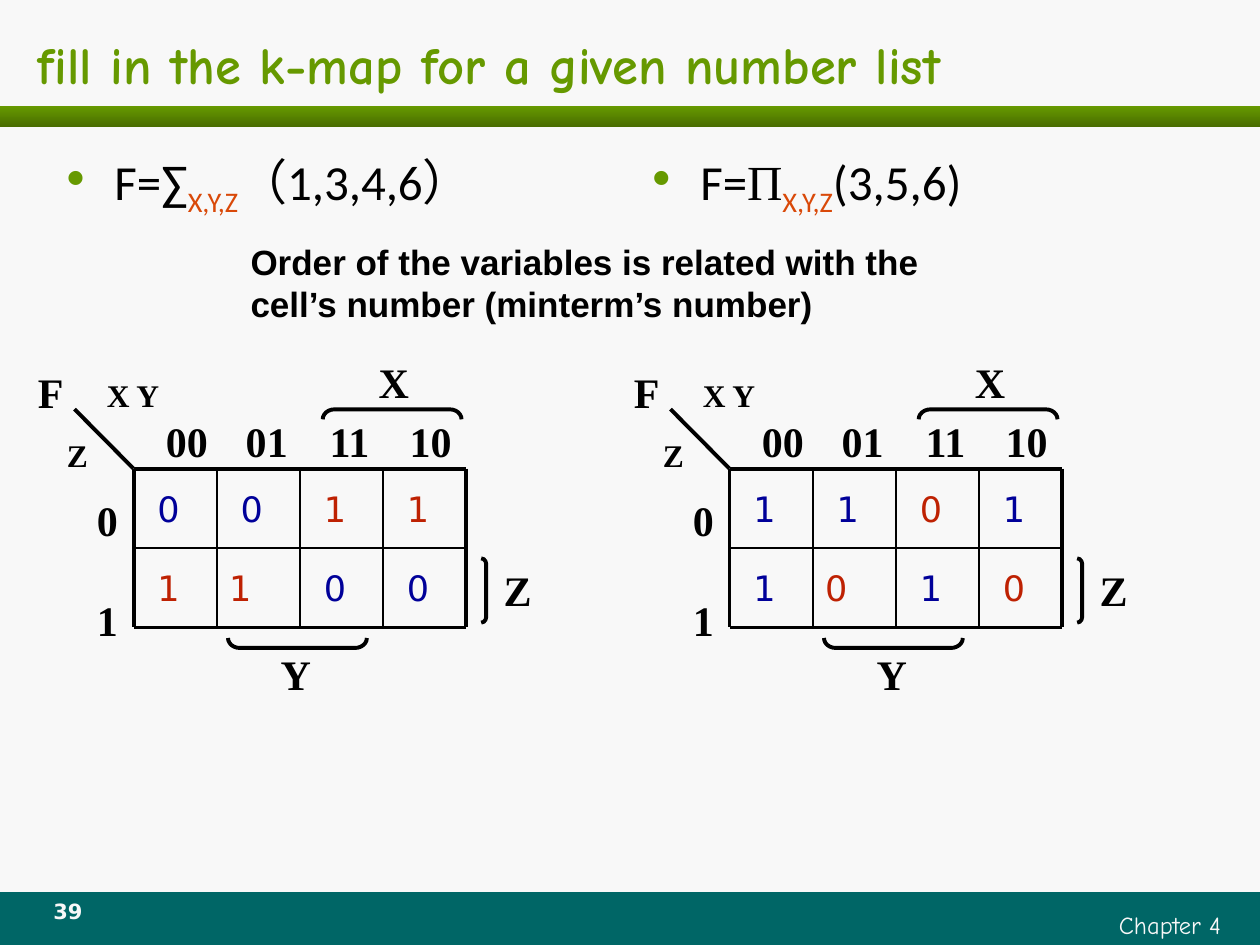
"""Build a slide that fills in two Karnaugh maps from number lists."""
from lxml.etree import SubElement
from pptx import Presentation
from pptx.dml.color import RGBColor
from pptx.enum.shapes import MSO_CONNECTOR, MSO_SHAPE
from pptx.enum.text import MSO_ANCHOR, PP_ALIGN
from pptx.oxml import parse_xml
from pptx.oxml.ns import nsdecls, qn
from pptx.util import Inches, Pt

color = RGBColor.from_string
GREEN, BLACK, PALE = "669900", "000000", "F8F8F8"
BLUE, RED, ORANGE = "000099", "BE2102", "D94909"
SERIF, SANS, COMIC, BODY = "Times New Roman", "DejaVu Sans", "Comic Neue", "Calibri"

presentation = Presentation()
presentation.slide_width, presentation.slide_height = Inches(10), Inches(7.5)
slide = presentation.slides.add_slide(presentation.slide_layouts[6])
slide.background.fill.solid()
slide.background.fill.fore_color.rgb = color(PALE)
percent = (presentation.slide_width / 100, presentation.slide_height / 100)
cell = (6.6 * percent[0], 8.4 * percent[1])


def area(left, top, width, height, origin=(0, 0), unit=percent):
    """Turn grid units into left, top, width and height."""
    return (int(origin[0] + left * unit[0]), int(origin[1] + top * unit[1]),
            int(width * unit[0]), int(height * unit[1]))


def add_text(shapes, box, runs, size, bold=False, anchor=MSO_ANCHOR.TOP, align=PP_ALIGN.LEFT):
    """Add a text box from runs of text, font, colour and baseline."""
    frame = shapes.add_textbox(*box).text_frame
    frame.word_wrap = True
    frame.vertical_anchor = anchor
    paragraph = frame.paragraphs[0]
    paragraph.alignment = align
    for text, font, tint, baseline in runs:
        run = paragraph.add_run()
        run.text = text
        run.font.name, run.font.size, run.font.bold = font, Pt(size), bold
        run.font.color.rgb = color(tint)
        if baseline:
            run.font._element.set("baseline", str(baseline))
    return frame


footer = slide.shapes.add_shape(MSO_SHAPE.RECTANGLE, *area(0, 94.4, 100, 5.6))
footer.fill.solid()
footer.fill.fore_color.rgb = color("006666")
band = slide.shapes.add_shape(MSO_SHAPE.RECTANGLE, *area(0, 11.2, 100, 2.27))
band.fill.gradient()
band.fill.gradient_angle = 270
for stop, tint in zip(band.fill.gradient_stops, (GREEN, "496D00")):
    stop.color.rgb = color(tint)
for shape in (footer, band):
    shape.line.fill.background()
    shape.shadow.inherit = False

add_text(slide.shapes, area(57.9, 95.6, 40, 4.4), [("Chapter 4", COMIC, PALE, 0)], 14,
         align=PP_ALIGN.RIGHT)
add_text(slide.shapes, area(2.5, 94.4, 5.8, 4.4), [("39", SANS, PALE, 0)], 12, True,
         align=PP_ALIGN.CENTER)
add_text(slide.shapes, area(2, 2.27, 95.5, 8.93),
         [("fill in the k-map for a given number list", COMIC, GREEN, 0)], 30, True,
         MSO_ANCHOR.MIDDLE)

formulas = [
    (4.3, [("F=∑", BODY, BLACK, 0), ("X,Y,Z", BODY, ORANGE, -25000),
           ("（1,3,4,6）", BODY, BLACK, 0)]),
    (50.8, [("F=", BODY, BLACK, 0), ("Π", SERIF, BLACK, 0),
            ("X,Y,Z", BODY, ORANGE, -25000), ("(3,5,6)", BODY, BLACK, 0)]),
]
for left, runs in formulas:
    frame = add_text(slide.shapes, area(left, 15.33, 44.8, 12), runs, 28)
    properties = frame.paragraphs[0]._p.get_or_add_pPr()
    properties.set("marL", str(Inches(0.38)))
    properties.set("indent", str(-Inches(0.38)))
    bullet_color = SubElement(properties, qn("a:buClr"))
    SubElement(bullet_color, qn("a:srgbClr"), val=GREEN)
    SubElement(properties, qn("a:buSzPct"), val="110000")
    SubElement(properties, qn("a:buChar"), char="•")

labels = [
    ("F", -1.3, -1.37, 0.83, 24), ("X Y", -0.47, -1.25, 1.08, 18), ("Z", -0.95, -0.49, 0.59, 18),
    ("00", 0.24, -0.75, 0.95, 24), ("01", 1.2, -0.75, 0.95, 24),
    ("11", 2.21, -0.75, 0.95, 24), ("10", 3.17, -0.75, 0.95, 24),
    ("X", 2.8, -1.49, 0.71, 24), ("Y", 1.62, 2.19, 0.71, 24), ("Z", 4.3, 1.13, 0.59, 24),
    ("0", -0.59, 0.25, 0.59, 24), ("1", -0.59, 1.51, 0.59, 24),
]
brackets = [(4.18, 1.13, 0.06, 0.81, 0, 1.12), (1.91, 1.32, 0.12, 1.75, 90, 1.18),
            (3.05, -1.56, 0.12, 1.75, 270, 1.18)]
lines = [(-0.71, -0.75, 0, 0, 2.25)]
lines += [(0, row, 4, row, 1 if row == 1 else 2.25) for row in range(3)]
lines += [(column, 0, column, 2, 2.25 if column in (0, 4) else 1) for column in range(5)]

maps = [(10.6, ("0011", "1100"), "1"), (57.9, ("1101", "1010"), "0")]
for map_left, rows, highlight in maps:
    origin = (map_left * percent[0], 49.6 * percent[1])
    shapes = slide.shapes.add_group_shape().shapes
    for row, values in enumerate(rows):
        for column, value in enumerate(values):
            frame = add_text(shapes, area(column, row, 1, 1, origin, cell),
                             [(value, SANS, RED if value == highlight else BLUE, 0)], 20,
                             anchor=MSO_ANCHOR.MIDDLE)
            frame.margin_left = Inches(0.1 if (row, column) == (1, 1) else 0.19)
    for start_column, start_row, end_column, end_row, weight in lines:
        start = area(start_column, start_row, 0, 0, origin, cell)[:2]
        end = area(end_column, end_row, 0, 0, origin, cell)[:2]
        connector = shapes.add_connector(MSO_CONNECTOR.STRAIGHT, *start, *end)
        connector.line.color.rgb = color(BLACK)
        connector.line.width = Pt(weight)
        connector._element.spPr.append(parse_xml(f"<a:effectLst {nsdecls('a')}/>"))
    for text, left, top, width, size in labels:
        height = 0.79 if size == 24 else 0.63
        add_text(shapes, area(left, top, width, height, origin, cell),
                 [(text, SERIF, BLACK, 0)], size, True)
    for left, top, width, height, rotation, curve in brackets:
        bracket = shapes.add_shape(MSO_SHAPE.RIGHT_BRACKET,
                                   *area(left, top, width, height, origin, cell))
        bracket.rotation = rotation
        bracket.adjustments[0] = curve
        bracket.fill.background()
        bracket.line.color.rgb = color(BLACK)
        bracket.line.width = Pt(2.25)
        bracket.shadow.inherit = False

add_text(slide.shapes, area(18.9, 24.8, 56.7, 10.27),
         [("Order of the variables is related with the cell’s number (minterm’s number)",
           "Arial", BLACK, 0)], 20, True)

presentation.save("out.pptx")
